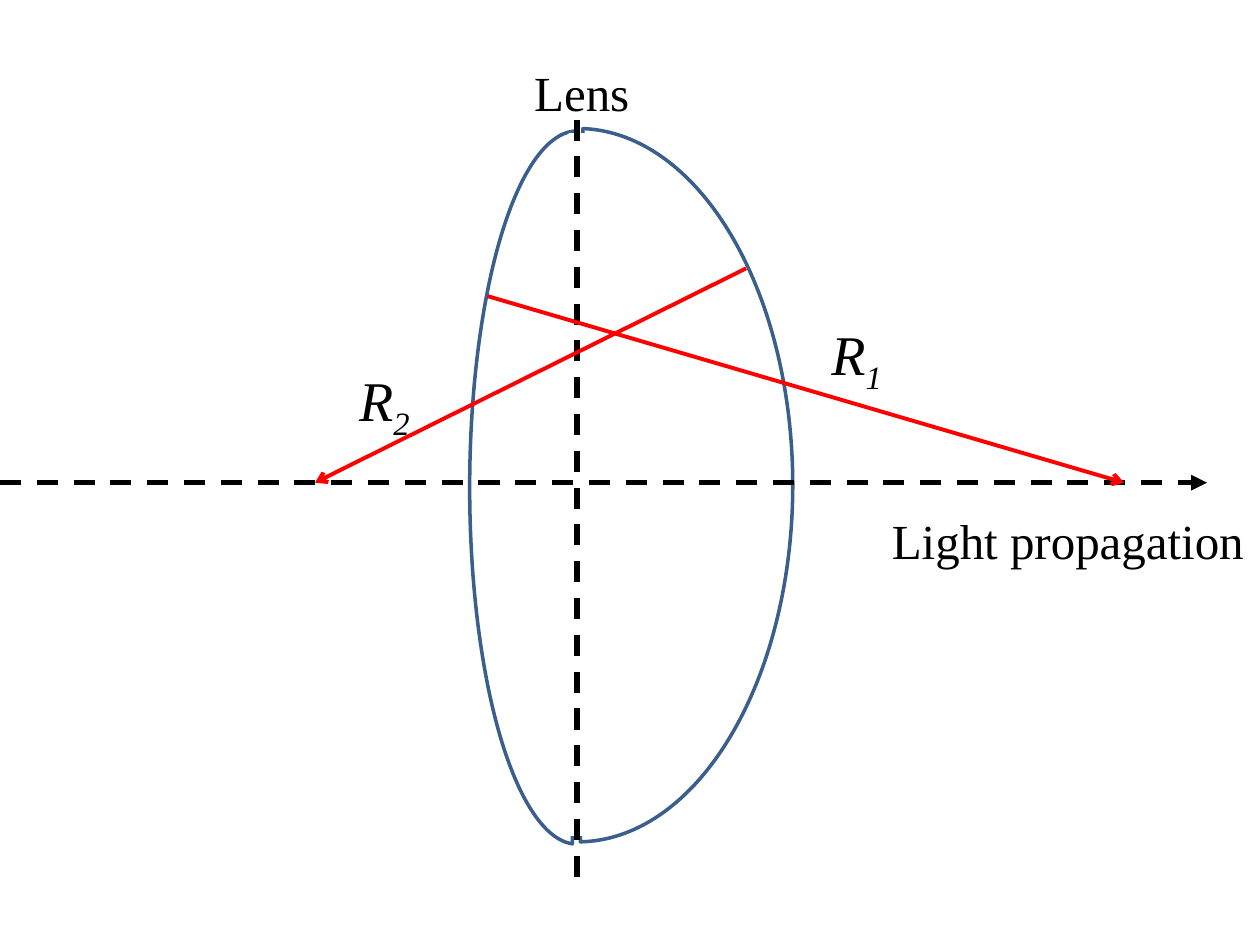
from pptx import Presentation
from pptx.dml.color import RGBColor
from pptx.enum.dml import MSO_LINE
from pptx.enum.shapes import MSO_CONNECTOR, MSO_SHAPE
from pptx.enum.text import MSO_AUTO_SIZE
from pptx.oxml.ns import qn
from pptx.util import Cm, Pt
from lxml.etree import SubElement

BLUE = RGBColor(0x3A, 0x5F, 0x8C)
RED = RGBColor(0xFF, 0x00, 0x00)
BLACK = RGBColor(0x00, 0x00, 0x00)
WHITE = RGBColor(0xFF, 0xFF, 0xFF)

deck = Presentation()
deck.slide_width, deck.slide_height = Cm(25.4), Cm(19.05)
slide = deck.slides.add_slide(deck.slide_layouts[6])
shapes = slide.shapes


def add_text(text, left, top, width, height, size=28, italic=False, sub=""):
    box = shapes.add_textbox(Cm(left), Cm(top), Cm(width), Cm(height))
    frame = box.text_frame
    frame.word_wrap = False
    frame.auto_size = MSO_AUTO_SIZE.SHAPE_TO_FIT_TEXT
    for part in filter(None, (text, sub)):
        run = frame.paragraphs[0].add_run()
        run.text = part
        font = run.font
        font.name, font.size, font.italic = "Times New Roman", Pt(size), italic
        font.color.rgb = BLACK
    if sub:
        run._r.get_or_add_rPr().set("baseline", "-25000")


def add_line(start, end, color, width, dash=None, head=None):
    line = shapes.add_connector(
        MSO_CONNECTOR.STRAIGHT, *(Cm(value) for value in start + end))
    line.line.color.rgb = color
    line.line.width = Pt(width)
    if dash:
        line.line.dash_style = dash
    props = line._element.spPr
    if head:
        SubElement(props.find(qn("a:ln")), qn("a:tailEnd"), type=head)
    SubElement(props, qn("a:effectLst"))


halves = [
    (9.47, 2.64, 4.34, 0, 162),
    (7.32, 2.59, 8.66, 180, 161.77),
]
for left, top, width, turn, end in halves:
    half = shapes.add_shape(
        MSO_SHAPE.PIE, Cm(left), Cm(top), Cm(width), Cm(14.38))
    half.adjustments[0] = 54.48
    half.adjustments[1] = end
    half.rotation = turn
    half.shadow.inherit = False
    half.fill.background()
    half.line.color.rgb = BLUE
    half.line.width = Pt(2)

cover = shapes.add_shape(
    MSO_SHAPE.RECTANGLE, Cm(11.48), Cm(2.72), Cm(0.53), Cm(14.1))
cover.shadow.inherit = False
cover.fill.solid()
cover.fill.fore_color.rgb = WHITE
cover.line.color.rgb = WHITE
cover.line.width = Pt(2)

axis = 9.73
add_line((11.63, 2.41), (11.63, 17.88), BLACK, 3, dash=MSO_LINE.DASH)
add_line((0, axis), (24.33, axis), BLACK, 3, dash=MSO_LINE.DASH, head="triangle")

rays = [
    ("2", (15.04, 5.41), 6.35, (6.99, 7.24)),
    ("1", (9.83, 5.97), 22.66, (16.51, 6.32)),
]
for index, start, focus, place in rays:
    add_line(start, (focus, axis), RED, 2.25, head="arrow")
    add_text("R", *place, 1.57, 1.63, size=32, italic=True, sub=index)

add_text("Light propagation", 17.73, 10.16, 7.67, 1.45)
add_text("Lens", 10.52, 1.14, 2.44, 1.45)

deck.save("out.pptx")
